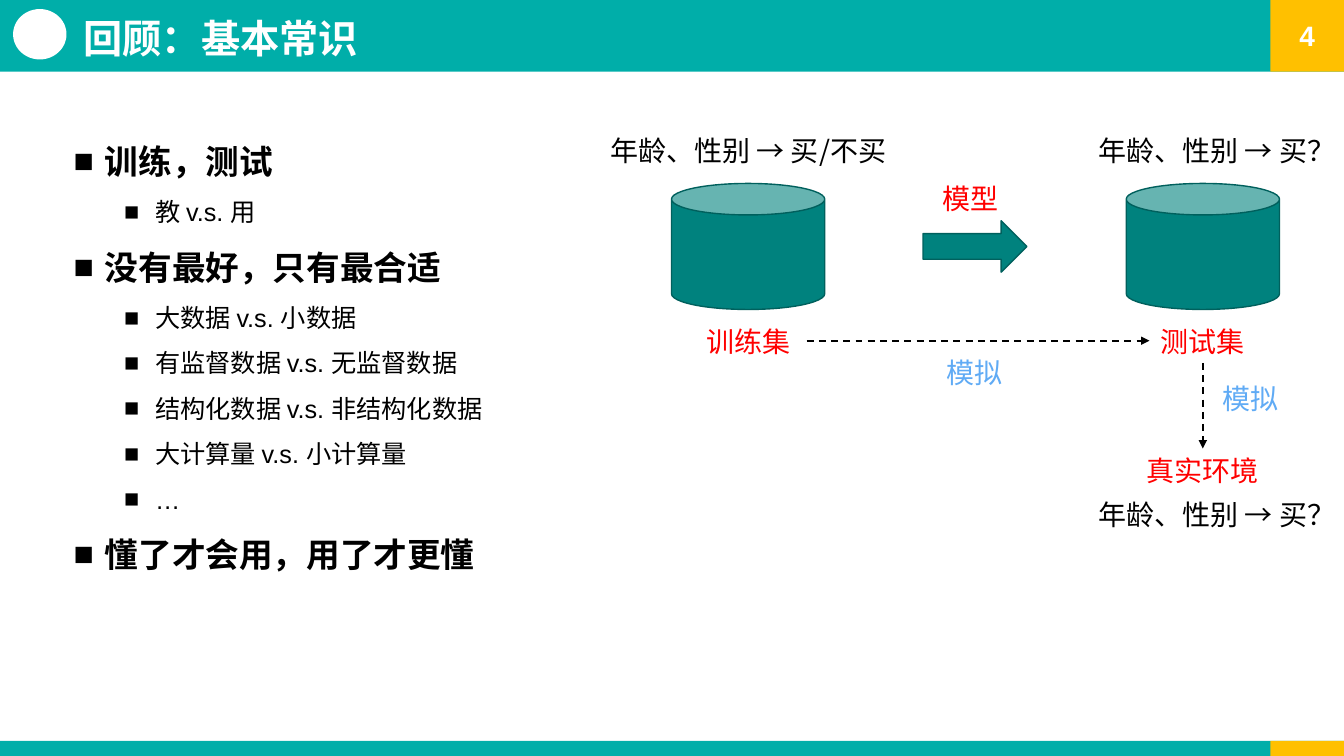
from lxml import etree
from pptx import Presentation
from pptx import util as u
from pptx.dml.color import RGBColor
from pptx.enum import dml, shapes, text
from pptx.oxml import ns

WIDTH, HEIGHT = 13.33, 7.5
TEAL = RGBColor(0x00, 0xAE, 0xA9)
DARK_TEAL = RGBColor(0x00, 0x82, 0x7E)
OUTLINE = RGBColor(0x00, 0x60, 0x5D)
GOLD = RGBColor(0xFF, 0xC0, 0x00)
RED = RGBColor(0xFF, 0x00, 0x00)
BLUE = RGBColor(0x60, 0xAB, 0xF5)
BLACK = RGBColor(0, 0, 0)
WHITE = RGBColor(0xFF, 0xFF, 0xFF)
LATIN, CHINESE = "Arial", "Noto Sans CJK SC"

TITLE = "回顾：基本常识"
OUTLINE_POINTS = [
    ("训练，测试", ["教 v.s. 用"]),
    ("没有最好，只有最合适", [
        "大数据 v.s. 小数据",
        "有监督数据 v.s. 无监督数据",
        "结构化数据 v.s. 非结构化数据",
        "大计算量 v.s. 小计算量",
        "…",
    ]),
    ("懂了才会用，用了才更懂", []),
]

TRAIN_X, MODEL_X, TEST_X = 7.42, 9.67, 11.93
SET_Y, DATA_Y, CAN_Y = 3.17, 1.28, 1.82
LABEL_HEIGHT = 0.44
QUESTION = "年龄、性别 → 买？"
LABELS = [
    ("训练集", TRAIN_X, SET_Y, 1.04, RED),
    ("测试集", TEST_X, SET_Y, 1.04, RED),
    ("模型", MODEL_X - 0.04, 1.75, 0.76, RED),
    ("真实环境", TEST_X, 4.45, 1.32, RED),
    ("模拟", MODEL_X, 3.48, 0.76, BLUE),
    ("模拟", 12.4, 3.74, 0.76, BLUE),
    ("年龄、性别 → 买/不买", TRAIN_X, DATA_Y, 3.15, BLACK),
    (QUESTION, TEST_X, DATA_Y, 2.53, BLACK),
    (QUESTION, TEST_X, 4.89, 2.53, BLACK),
]
SYMBOLS = [
    (shapes.MSO_SHAPE.CAN, TRAIN_X, CAN_Y, 1.52, 1.25),
    (shapes.MSO_SHAPE.CAN, TEST_X, CAN_Y, 1.52, 1.25),
    (shapes.MSO_SHAPE.RIGHT_ARROW, MODEL_X, 2.19, 1.03, 0.51),
]
ARROWS = [(8, 3.38, 11.4, 3.38), (TEST_X, 3.6, TEST_X, 4.45)]

HEADER, FOOTER, CORNER = 0.71, 0.15, 0.73
BANDS = [(0, HEADER), (HEIGHT - FOOTER, FOOTER)]


def inches(*lengths):
    return [u.Inches(length) for length in lengths]


def write(paragraph, content, size=20, color=BLACK, bold=False, font=CHINESE,
          align=text.PP_ALIGN.CENTER):
    paragraph.alignment = align
    run = paragraph.add_run()
    run.text = content
    run.font.size = u.Pt(size)
    run.font.bold = bold
    run.font.name = font
    run.font.color.rgb = color
    latin = run.font._element.find(ns.qn("a:latin"))
    east_asian = etree.Element(ns.qn("a:ea"), typeface=CHINESE)
    latin.addnext(east_asian)


def draw(slide, kind, box, fill, line=None):
    shape = slide.shapes.add_shape(kind, *inches(*box))
    shape.shadow.inherit = False
    shape.fill.solid()
    shape.fill.fore_color.rgb = fill
    if line is None:
        shape.line.fill.background()
    else:
        shape.line.color.rgb = line
        shape.line.width = u.Pt(1)
    return shape


def place(placeholder, box, anchor):
    placeholder.left, placeholder.top, placeholder.width, placeholder.height = inches(*box)
    frame = placeholder.text_frame
    frame.auto_size = text.MSO_AUTO_SIZE.NONE
    frame.word_wrap = True
    frame.vertical_anchor = anchor
    tree = placeholder.element.getparent()
    tree.append(placeholder.element)
    return frame


def add_bullet(paragraph, level):
    paragraph.level = level
    paragraph.line_spacing = 1.5
    paragraph.space_before = paragraph.space_after = u.Pt(0)
    properties = paragraph._p.get_or_add_pPr()
    properties.set("marL", str(u.Inches(0.31 + 0.5 * level)))
    properties.set("indent", str(u.Inches(-0.31)))
    etree.SubElement(properties, ns.qn("a:buFont"), typeface=LATIN)
    etree.SubElement(properties, ns.qn("a:buChar"), char="■")


def add_arrow(slide, ends):
    arrow = slide.shapes.add_connector(shapes.MSO_CONNECTOR.STRAIGHT, *inches(*ends))
    arrow.line.color.rgb = BLACK
    arrow.line.width = u.Pt(1.25)
    arrow.line.dash_style = dml.MSO_LINE.DASH
    etree.SubElement(arrow.line._get_or_add_ln(), ns.qn("a:tailEnd"), type="triangle")
    etree.SubElement(arrow.element.spPr, ns.qn("a:effectLst"))


def main():
    presentation = Presentation()
    presentation.slide_width, presentation.slide_height = inches(WIDTH, HEIGHT)
    slide = presentation.slides.add_slide(presentation.slide_layouts[1])

    rectangle = shapes.MSO_SHAPE.RECTANGLE
    corners = []
    for top, height in BANDS:
        draw(slide, rectangle, (0, top, WIDTH, height), TEAL)
        corners.append(draw(slide, rectangle, (WIDTH - CORNER, top, CORNER, height), GOLD))
    number = corners[0].text_frame
    number.vertical_anchor = text.MSO_ANCHOR.MIDDLE
    write(number.paragraphs[0], "4", color=WHITE, bold=True, font=LATIN)
    draw(slide, shapes.MSO_SHAPE.OVAL, (0.13, 0.09, 0.53, 0.5), WHITE)

    title = place(slide.shapes.title, (0.73, 0.09, 7.68, 0.57), text.MSO_ANCHOR.MIDDLE)
    write(title.paragraphs[0], TITLE, size=28, color=WHITE, bold=True,
          align=text.PP_ALIGN.LEFT)

    body = place(slide.placeholders[1], (0.63, 1.15, 4.31, 4.64), text.MSO_ANCHOR.TOP)
    lines = [(level, line) for heading, details in OUTLINE_POINTS
             for level, line in [(0, heading)] + [(1, detail) for detail in details]]
    for index, (level, line) in enumerate(lines):
        paragraph = body.add_paragraph() if index else body.paragraphs[0]
        add_bullet(paragraph, level)
        write(paragraph, line, size=18 if level else 24, bold=not level, font=LATIN,
              align=text.PP_ALIGN.LEFT)

    for kind, center, top, width, height in SYMBOLS:
        draw(slide, kind, (center - width / 2, top, width, height), DARK_TEAL, OUTLINE)
    for ends in ARROWS:
        add_arrow(slide, ends)
    for content, center, top, width, color in LABELS:
        box = slide.shapes.add_textbox(*inches(center - width / 2, top, width, LABEL_HEIGHT))
        box.text_frame.word_wrap = False
        write(box.text_frame.paragraphs[0], content, color=color)

    presentation.save("out.pptx")


if __name__ == "__main__":
    main()
